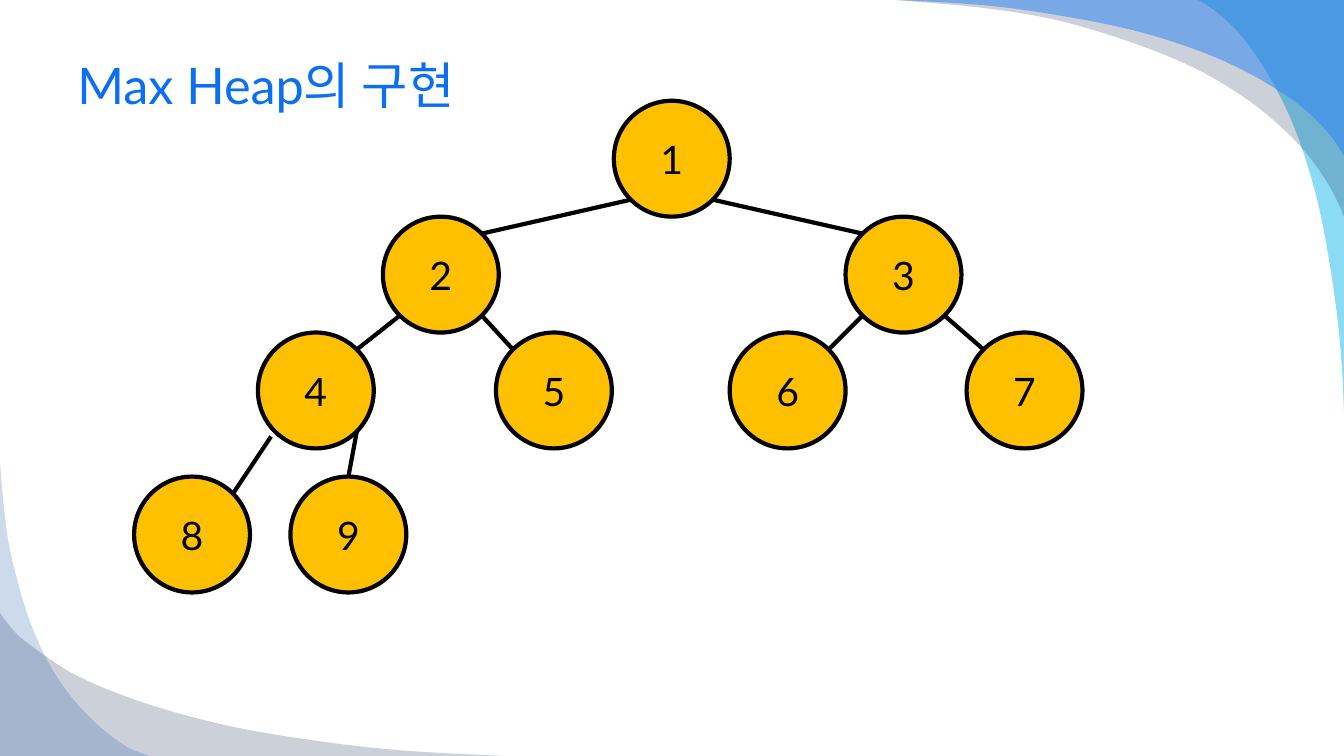
from lxml.etree import SubElement
from pptx import Presentation
from pptx.dml.color import RGBColor
from pptx.enum.shapes import MSO_CONNECTOR, MSO_SHAPE
from pptx.enum.text import MSO_ANCHOR, PP_ALIGN
from pptx.oxml.ns import qn
from pptx.util import Cm, Pt

TITLE = "Max Heap의 구현"
FONT = "Lato"
COLORS = {"title": "0C6FF2", "node": "FFC000", "ink": "000000", "cyan": "00B1E9",
          "navy": "021741", "blue": "247FF4", "deep": "084AA1"}
WIDTH, HEIGHT = 33.87, 19.05
DIAMETER = 2.92
DIAGONAL = DIAMETER / 2 ** 1.5
ROWS = [4.0, 6.92, 9.84, 13.47]
NODES = {1: (16.93, 0), 2: (11.11, 1), 3: (22.77, 1), 4: (7.96, 2), 5: (13.96, 2),
         6: (19.85, 2), 7: (25.82, 2), 8: (4.84, 3), 9: (8.78, 3)}
EDGE_STARTS = {8: (6.83, 11.0)}
EDGE_ENDS = {9: (8.78, ROWS[3] - DIAMETER / 2)}
TOP_RIGHT, BOTTOM_LEFT = (WIDTH, 0), (0, HEIGHT)
WAVES = [
    ("cyan", 45, TOP_RIGHT, [
        (30.2, 0), (30.73, 0.36), (31.34, 0.97), (31.98, 1.91), (32.56, 3.07),
        (33.02, 4.39), (33.35, 5.74), (33.66, 7.65), (33.81, 9.14), (33.87, 10.36)]),
    ("navy", 20, TOP_RIGHT, [
        (22.58, 0), (24.77, 0.2), (26.64, 0.51), (28.52, 1.07), (30.07, 1.7), (31.29, 2.41),
        (32.23, 3.15), (32.92, 3.86), (33.43, 4.57), (33.73, 5.13), (33.87, 5.46)]),
    ("blue", 49, TOP_RIGHT, [
        (22.58, 0), (24.77, 0.13), (26.64, 0.38), (28.55, 0.76), (30.1, 1.24), (31.29, 1.75),
        (32.23, 2.29), (32.92, 2.79), (33.5, 3.38), (33.78, 3.78), (33.87, 3.94)]),
    ("navy", 20, BOTTOM_LEFT, [
        (12.7, 19.05), (10.24, 18.92), (8.13, 18.69), (5.99, 18.34), (4.27, 17.91),
        (2.9, 17.45), (1.83, 16.97), (1.07, 16.48), (0.48, 16.03), (0.15, 15.65), (0, 15.44)]),
    ("deep", 20, BOTTOM_LEFT, [
        (3.76, 19.05), (3.2, 18.82), (2.57, 18.36), (1.91, 17.7), (1.32, 16.87),
        (0.86, 15.93), (0.53, 14.96), (0.25, 13.84), (0.1, 12.8), (0, 11.63)]),
]


def rgb(name):
    return RGBColor.from_string(COLORS[name])


def smooth(points, steps=5):
    """Return a Catmull-Rom curve through the points."""
    padded = [points[0], *points, points[-1]]
    curve = []
    for a, b, c, d in zip(padded, padded[1:], padded[2:], padded[3:]):
        for t in (i / steps for i in range(steps)):
            curve.append(tuple(
                q + t * (r - p) / 2 + t ** 2 * (p - 2.5 * q + 2 * r - e / 2)
                + t ** 3 * (3 * q - p - 3 * r + e) / 2
                for p, q, r, e in zip(a, b, c, d)))
    return curve + [points[-1]]


def add_wave(s, color, alpha, corner, points):
    outline = [(Cm(x), Cm(y)) for x, y in [corner, *smooth(points)]]
    builder = s.shapes.build_freeform(*outline[0])
    builder.add_line_segments(outline[1:], close=True)
    sp = builder.convert_to_shape()
    sp.shadow.inherit = False
    sp.fill.solid()
    sp.fill.fore_color.rgb = rgb(color)
    sp.line.fill.background()
    fill = sp._element.spPr.find(qn("a:solidFill"))
    SubElement(fill[0], qn("a:alpha"), val=str(alpha * 1000))


def write(sp, text, size, color, align):
    tf = sp.text_frame
    tf.word_wrap = True
    tf.vertical_anchor = MSO_ANCHOR.MIDDLE
    tf.text = text
    p = tf.paragraphs[0]
    p.alignment = align
    r = p.runs[0]
    r.font.size = Pt(size)
    r.font.name = FONT
    r.font.color.rgb = rgb(color)


def add_node(s, key):
    x, row = NODES[key]
    radius = DIAMETER / 2
    sp = s.shapes.add_shape(MSO_SHAPE.OVAL, Cm(x - radius), Cm(ROWS[row] - radius),
                            Cm(DIAMETER), Cm(DIAMETER))
    sp.shadow.inherit = False
    sp.fill.solid()
    sp.fill.fore_color.rgb = rgb("node")
    sp.line.color.rgb = rgb("ink")
    sp.line.width = Pt(3)
    write(sp, str(key), 28, "ink", PP_ALIGN.CENTER)


def add_edge(s, child):
    x, row = NODES[child]
    px, prow = NODES[child // 2]
    side = 1 if child % 2 else -1
    start = EDGE_STARTS.get(child, (px + side * DIAGONAL, ROWS[prow] + DIAGONAL))
    end = EDGE_ENDS.get(child, (x - side * DIAGONAL, ROWS[row] - DIAGONAL))
    line = s.shapes.add_connector(MSO_CONNECTOR.STRAIGHT, *map(Cm, start + end))
    line.line.color.rgb = rgb("ink")
    line.line.width = Pt(3)
    SubElement(line._element.spPr, qn("a:effectLst"))


def main():
    prs = Presentation()
    prs.slide_width, prs.slide_height = Cm(WIDTH), Cm(HEIGHT)
    s = prs.slides.add_slide(prs.slide_layouts[6])
    for wave in WAVES:
        add_wave(s, *wave)
    title = s.shapes.add_textbox(Cm(1.7), Cm(0.84), Cm(30.48), Cm(2.57))
    write(title, TITLE, 36, "title", PP_ALIGN.LEFT)
    for key in NODES:
        add_node(s, key)
    for child in list(NODES)[1:]:
        add_edge(s, child)
    prs.save("out.pptx")


if __name__ == "__main__":
    main()
